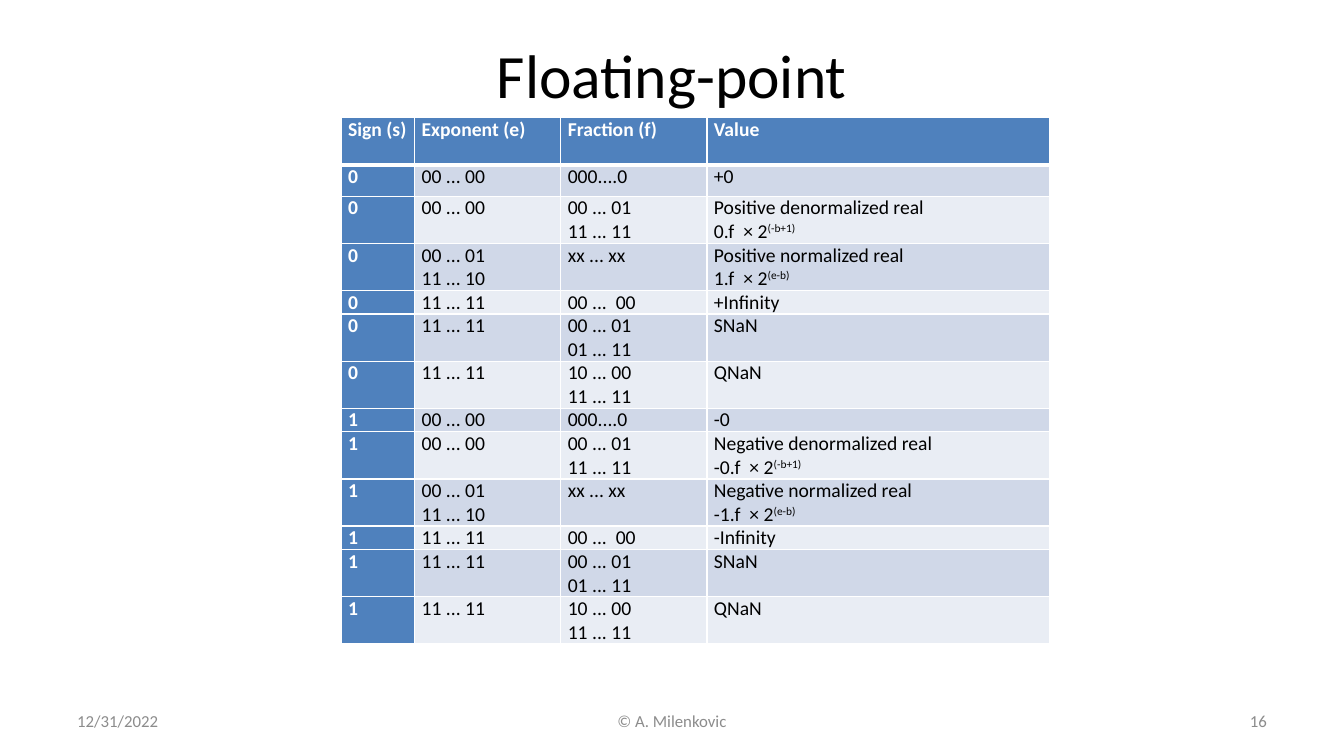
from dataclasses import dataclass

from lxml import etree
from pptx import Presentation
from pptx.dml.color import RGBColor
from pptx.enum.text import MSO_ANCHOR, PP_ALIGN
from pptx.oxml.ns import qn
from pptx.util import Pt

LEFT, CENTER, RIGHT = PP_ALIGN.LEFT, PP_ALIGN.CENTER, PP_ALIGN.RIGHT
TOP, MIDDLE = MSO_ANCHOR.TOP, MSO_ANCHOR.MIDDLE
BLANK_LAYOUT = 6


@dataclass(frozen=True)
class Theme:
    font: str = "Calibri"
    ink: str = "000000"
    muted: str = "8C8C8C"
    white: str = "FFFFFF"
    header: str = "4F81BD"
    bands: tuple = ("D0D8E8", "E9EDF4")
    title_size: float = 44
    body_size: float = 14
    footer_size: float = 12


THEME = Theme()
COLUMN_WIDTHS = (52.6, 104.4, 104.4, 244.8)
HEADINGS = ("Sign (s)", "Exponent (e)", "Fraction (f)", "Value")
LINE_HEIGHT = 16.8
ZERO_ROW_HEIGHT = 22.4


def encodings(sign_bit, sign_word, infinity_sign, factor_sign):
    """Rows of the table for one value of the sign bit."""
    rows = (
        ("00 ... 00", "000....0", f"{infinity_sign}0"),
        ("00 ... 00", "00 ... 01\n11 ... 11",
         f"{sign_word} denormalized real\v{factor_sign}0.f  × 2^(-b+1)"),
        ("00 ... 01\n11 ... 10", "xx ... xx",
         f"{sign_word} normalized real\v{factor_sign}1.f  × 2^(e-b)"),
        ("11 ... 11", "00 ...  00", f"{infinity_sign}Infinity"),
        ("11 ... 11", "00 ... 01\n01 ... 11", "SNaN"),
        ("11 ... 11", "10 ... 00\n11 ... 11", "QNaN"),
    )
    return [(sign_bit, *row) for row in rows]


def write(frame, text, size, color, bold=False, align=LEFT):
    """Fill a text frame: \\n parts paragraphs, \\v breaks a line, ^ raises the rest."""
    frame.word_wrap = True
    for number, content in enumerate(text.split("\n")):
        paragraph = frame.paragraphs[0] if number == 0 else frame.add_paragraph()
        paragraph.alignment = align
        for line_number, line in enumerate(content.split("\v")):
            if line_number:
                paragraph.add_line_break()
            for raised, part in enumerate(line.split("^")):
                run = paragraph.add_run()
                run.text = part
                run.font.name = THEME.font
                run.font.size = Pt(size)
                run.font.bold = bold
                run.font.color.rgb = RGBColor.from_string(color)
                if raised:
                    run._r.get_or_add_rPr().set("baseline", "30000")


def add_label(slide, box, text, **text_format):
    label = slide.shapes.add_textbox(*map(Pt, box))
    label.text_frame.vertical_anchor = MIDDLE
    write(label.text_frame, text, **text_format)


def add_footer(slide, box):
    left, top, width, height = box
    side, middle = 224, 304
    parts = (
        ("12/31/2022", left, side, LEFT),
        ("© A. Milenkovic", left + (width - middle) / 2, middle, CENTER),
        ("16", left + width - side, side, RIGHT),
    )
    for text, part_left, part_width, align in parts:
        add_label(slide, (part_left, top, part_width, height), text,
                  size=THEME.footer_size, color=THEME.muted, align=align)


def set_borders(cell, top, bottom):
    properties = cell._tc.get_or_add_tcPr()
    for edge, width in (("lnL", 1), ("lnR", 1), ("lnT", top), ("lnB", bottom)):
        line = etree.SubElement(properties, qn(f"a:{edge}"), w=str(Pt(width)))
        fill = etree.SubElement(line, qn("a:solidFill"))
        etree.SubElement(fill, qn("a:srgbClr"), val=THEME.white)


def add_encoding_table(slide, box):
    rows = [HEADINGS,
            *encodings("0", "Positive", "+", ""),
            *encodings("1", "Negative", "-", "-")]
    table = slide.shapes.add_table(len(rows), len(HEADINGS), *map(Pt, box)).table
    table.first_col = True
    for column, width in zip(table.columns, COLUMN_WIDTHS):
        column.width = Pt(width)
    for r, row in enumerate(rows):
        lines = max(1 + text.count("\n") + text.count("\v") for text in row)
        heights = {0: 2 * LINE_HEIGHT, 1: ZERO_ROW_HEIGHT}
        table.rows[r].height = Pt(heights.get(r, lines * LINE_HEIGHT))
        for c, text in enumerate(row):
            cell = table.cell(r, c)
            is_heading = r == 0 or c == 0
            set_borders(cell, top=3 if r == 1 else 1, bottom=3 if r == 0 else 1)
            cell.fill.solid()
            cell.fill.fore_color.rgb = RGBColor.from_string(
                THEME.header if is_heading else THEME.bands[(r - 1) % 2])
            cell.margin_left = cell.margin_right = Pt(5)
            cell.margin_top = cell.margin_bottom = 0
            cell.vertical_anchor = TOP
            write(cell.text_frame, text, size=THEME.body_size, bold=is_heading,
                  color=THEME.white if is_heading else THEME.ink)


def main():
    deck = Presentation()
    deck.slide_width, deck.slide_height = Pt(960), Pt(540)
    slide = deck.slides.add_slide(deck.slide_layouts[BLANK_LAYOUT])
    add_label(slide, (48, 21.6, 864, 62.6), "Floating-point",
              size=THEME.title_size, color=THEME.ink, align=CENTER)
    add_footer(slide, (48, 500.5, 864, 28.8))
    add_encoding_table(slide, (243.6, 84.2, sum(COLUMN_WIDTHS), 375.2))
    deck.save("out.pptx")


if __name__ == "__main__":
    main()
